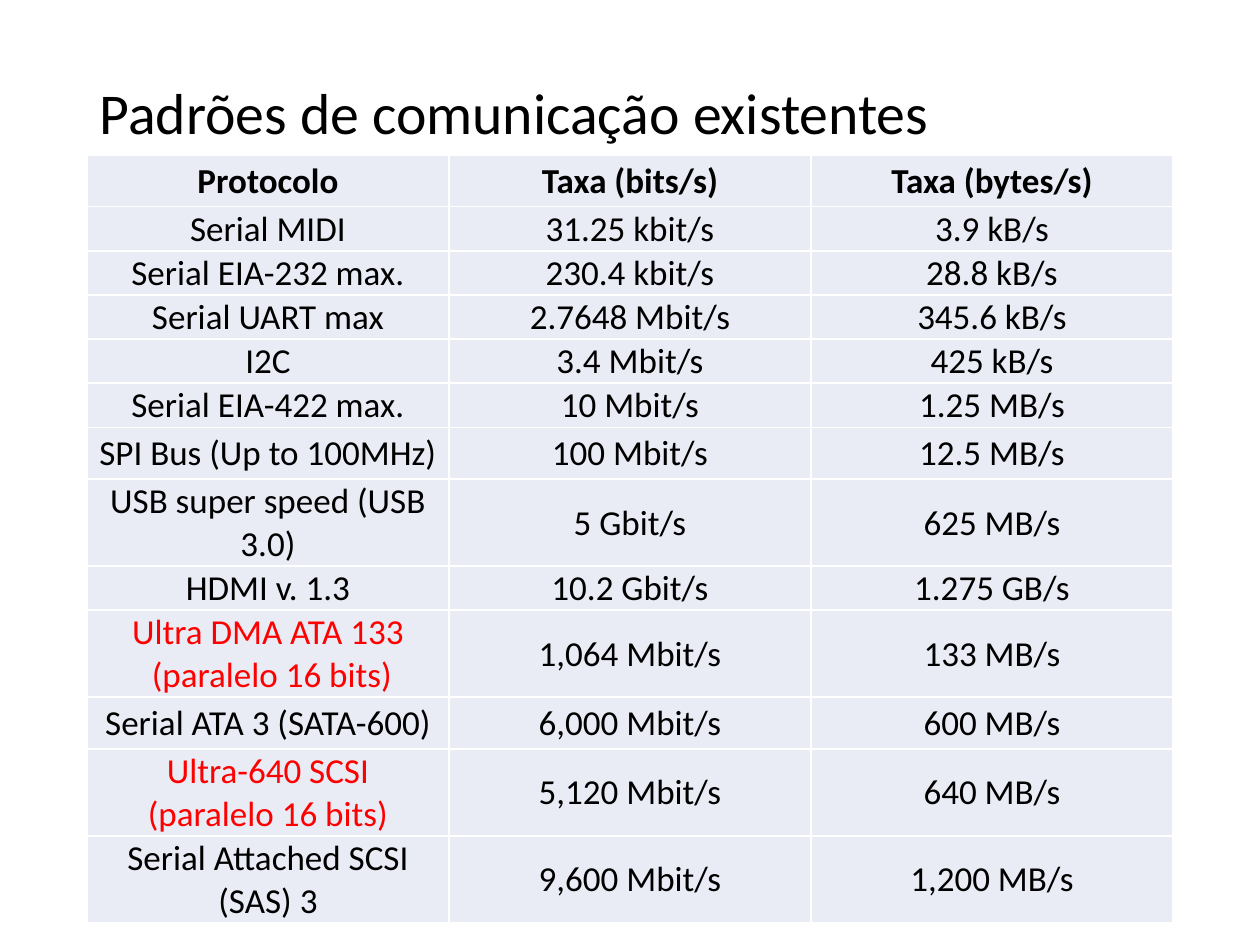
from lxml.etree import SubElement
from pptx import Presentation
from pptx.dml.color import RGBColor
from pptx.enum.text import MSO_ANCHOR as Anchor, PP_ALIGN as Align
from pptx.oxml.ns import qn
from pptx.util import Inches, Pt

FONT = "Calibri"
COLORS = {"text": "000000", "parallel": "FF0000", "cell": "E9EBF5", "border": "FFFFFF"}
LEFT, WIDTH = 0.69, 8.62
HEADINGS = ("Protocolo", "Taxa (bits/s)", "Taxa (bytes/s)")
PROTOCOLS = [
    (0.27, "Serial MIDI", "31.25 kbit/s", "3.9 kB/s"),
    (0.27, "Serial EIA-232 max.", "230.4 kbit/s", "28.8 kB/s"),
    (0.27, "Serial UART max", "2.7648 Mbit/s", "345.6 kB/s"),
    (0.15, "I2C", "3.4 Mbit/s", "425 kB/s"),
    (0.27, "Serial EIA-422 max.", "10 Mbit/s", "1.25 MB/s"),
    (0.41, "SPI Bus (Up to 100MHz)", "100 Mbit/s", "12.5 MB/s"),
    (0.41, "USB super speed (USB 3.0)", "5 Gbit/s", "625 MB/s"),
    (0.27, "HDMI v. 1.3", "10.2 Gbit/s", "1.275 GB/s"),
    (0.54, "Ultra DMA ATA 133\v (paralelo 16 bits)", "1,064 Mbit/s", "133 MB/s"),
    (0.41, "Serial ATA 3 (SATA-600)", "6,000 Mbit/s", "600 MB/s"),
    (0.54, "Ultra-640 SCSI\n(paralelo 16 bits)", "5,120 Mbit/s", "640 MB/s"),
    (0.54, "Serial Attached SCSI (SAS) 3", "9,600 Mbit/s", "1,200 MB/s"),
]


def add_span(para, text, size, color="text", bold=False):
    span = para.add_run()
    span.text = text
    span.font.name = FONT
    span.font.size = Pt(size)
    span.font.bold = bold
    span.font.color.rgb = RGBColor.from_string(COLORS[color])


def add_title(page, text):
    box = page.shapes.title
    box.left, box.top, box.width, box.height = map(Inches, (LEFT, 0.19, WIDTH, 1.45))
    box.text_frame.word_wrap = True
    box.text_frame.vertical_anchor = Anchor.MIDDLE
    para = box.text_frame.paragraphs[0]
    para.alignment = Align.LEFT
    para.line_spacing = 0.9
    add_span(para, text, 33)


def set_borders(cell):
    properties = cell._tc.get_or_add_tcPr()
    for side in ("a:lnL", "a:lnR", "a:lnT", "a:lnB"):
        line = SubElement(properties, qn(side), w=str(Pt(1)))
        fill = SubElement(line, qn("a:solidFill"))
        SubElement(fill, qn("a:srgbClr"), val=COLORS["border"])


def fill_cell(cell, text, bold):
    set_borders(cell)
    cell.fill.solid()
    cell.fill.fore_color.rgb = RGBColor.from_string(COLORS["cell"])
    cell.vertical_anchor = Anchor.MIDDLE
    cell.margin_left = cell.margin_right = cell.margin_top = Inches(0.01)
    cell.margin_bottom = 0
    color = "parallel" if "paralelo" in text else "text"
    frame = cell.text_frame
    for number, block in enumerate(text.split("\n")):
        para = frame.add_paragraph() if number else frame.paragraphs[0]
        para.alignment = Align.CENTER
        for position, line in enumerate(block.split("\v")):
            if position:
                para.add_line_break()
            add_span(para, line, 20, color, bold)


def add_rate_table(page):
    rows = [(0.41, *HEADINGS), *PROTOCOLS]
    frame = page.shapes.add_table(
        len(rows), len(HEADINGS), Inches(LEFT), Inches(1.23), Inches(WIDTH), Inches(5.96)
    )
    table = frame.table
    table.first_row = table.horz_banding = False
    for index, (height, *texts) in enumerate(rows):
        table.rows[index].height = Inches(height)
        for column, text in enumerate(texts):
            fill_cell(table.cell(index, column), text, bold=index == 0)
    frame.height = Inches(5.96)


def main():
    deck = Presentation()
    deck.slide_width, deck.slide_height = Inches(10), Inches(7.5)
    page = deck.slides.add_slide(deck.slide_layouts[5])
    add_title(page, "Padrões de comunicação existentes")
    add_rate_table(page)
    deck.save("out.pptx")


main()
